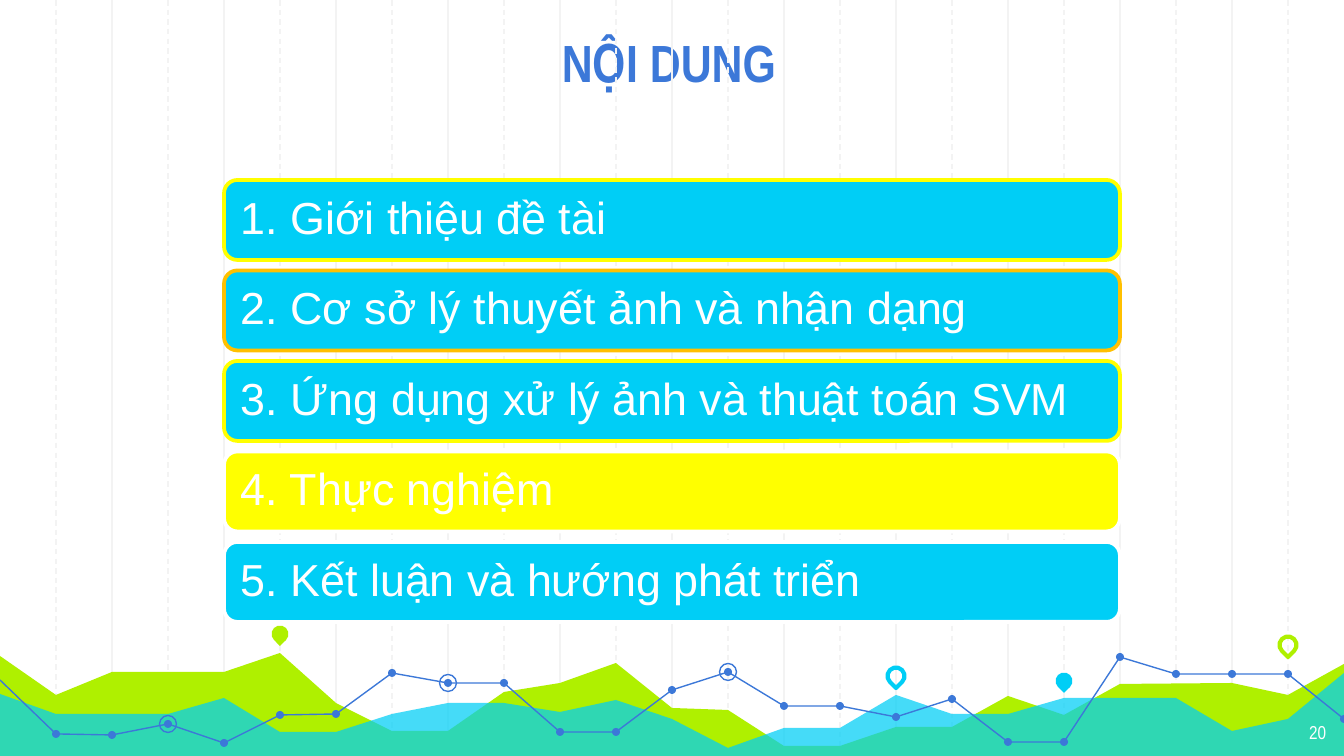
"""Build the agenda slide: five numbered bars above a chart-like landscape."""
from lxml.etree import SubElement
from pptx import Presentation
from pptx.dml.color import RGBColor
from pptx.enum.dml import MSO_LINE
from pptx.enum.shapes import MSO_CONNECTOR, MSO_SHAPE as SHAPE
from pptx.enum.text import MSO_ANCHOR as ANCHOR, PP_ALIGN as ALIGN
from pptx.oxml.ns import qn
from pptx.util import Pt

TITLE = "NỘI DUNG"
PAGE = "20"
ITEMS = [
    ("1. Giới thiệu đề tài", "cyan", "yellow"),
    ("2. Cơ sở lý thuyết ảnh và nhận dạng", "cyan", "amber"),
    ("3. Ứng dụng xử lý ảnh và thuật toán SVM", "cyan", "yellow"),
    ("4. Thực nghiệm", "yellow", "white"),
    ("5. Kết luận và hướng phát triển", "cyan", "white"),
]
GREEN_HILLS = [
    (0, 656), (1, 695), (2, 672), (4, 672), (5, 653), (6, 703), (7, 731),
    (8, 731), (9, 692), (10, 683), (11, 663), (12, 708), (13, 710), (14, 746),
    (15, 746), (16, 727), (17, 727), (18, 696), (19, 715), (20, 684),
    (22, 683), (23, 695), (24, 664),
]
CYAN_HILLS = [
    (0, 694), (1, 714), (3, 714), (4, 698), (5, 732), (6, 732), (7, 714),
    (8, 703), (9, 703), (10, 712), (11, 700), (12, 719), (13, 748), (14, 728),
    (15, 728), (16, 695), (17, 714), (18, 714), (19, 698), (21, 698),
    (22, 731), (23, 719), (24, 673),
]
TREND = [680, 734, 735, 724, 743, 715, 714, 673, 683, 683, 732, 732, 690,
         672, 706, 706, 717, 699, 742, 742, 657, 674, 674, 674, 719]
RINGED = [3, 8, 13]
PINS = [(5, 634, "lime", True), (16, 676, "cyan", False),
        (19, 681, "cyan", True), (23, 645, "lime", False)]

THEME = {
    "colors": {"cyan": "00CEF6", "yellow": "FFFF00", "amber": "FFC000",
               "white": "FFFFFF", "lime": "AFF000", "blue": "3C78D8",
               "grid": "F3F3F3"},
    "title": {"name": "Arial Narrow", "size": Pt(28), "bold": True},
    "page": {"name": "Arial Narrow", "size": Pt(10)},
    "item": {"name": "Arial", "size": Pt(24)},
}
PX = 914400 / 134.4
WIDTH, HEIGHT = 1344, 756
COL = WIDTH // 24
DOT, MARK = 8, 17
BAR_TOP, BAR_STEP, BAR_HEIGHT = 180, 90.5, 80


def px(*lengths):
    return [round(n * PX) for n in lengths]


def color(name):
    return RGBColor.from_string(THEME["colors"][name])


def style(sp, fill=None, line=None, width=0.75):
    sp.shadow.inherit = False
    if fill:
        sp.fill.solid()
        sp.fill.fore_color.rgb = color(fill)
    else:
        sp.fill.background()
    if line:
        sp.line.color.rgb = color(line)
        sp.line.width = Pt(width)
    else:
        sp.line.fill.background()
    return sp


def write(sp, text, role, ink, align, anchor, margin=13):
    tf = sp.text_frame
    frame = {"word_wrap": True, "vertical_anchor": anchor}
    for side in ("left", "right", "top", "bottom"):
        frame[f"margin_{side}"] = px(margin)[0]
    for key, value in frame.items():
        setattr(tf, key, value)
    p = tf.paragraphs[0]
    p.alignment = align
    r = p.add_run()
    r.text = text
    for key, value in THEME[role].items():
        setattr(r.font, key, value)
    r.font.color.rgb = color(ink)
    return p


def centered(s, kind, col, y, size):
    return s.shapes.add_shape(
        kind, *px(col * COL - size / 2, y - size / 2, size, size))


def polyline(s, points, close):
    start, *rest = [(col * COL, y) for col, y in points]
    builder = s.shapes.build_freeform(*start, scale=PX)
    builder.add_line_segments(rest, close=close)
    return builder.convert_to_shape()


def draw_grid(s):
    for col in [*range(2, 24, 2), *range(1, 24, 2)]:
        x = col * COL
        line = s.shapes.add_connector(MSO_CONNECTOR.STRAIGHT, *px(x, 0, x, HEIGHT))
        line.line.color.rgb = color("grid")
        line.line.width = Pt(0.75)
        if col % 2:
            line.line.dash_style = MSO_LINE.DASH
        SubElement(line._element.spPr, qn("a:effectLst"))


def draw_landscape(s):
    base = [(24, HEIGHT), (0, HEIGHT)]
    style(polyline(s, GREEN_HILLS + base, True), "lime")
    hills = style(polyline(s, CYAN_HILLS + base, True), "cyan")
    tint = hills._element.spPr.find(qn("a:solidFill"))[0]
    SubElement(tint, qn("a:alpha"), val="73000")

    style(polyline(s, list(enumerate(TREND)), False), line="blue")
    for col, y in list(enumerate(TREND))[1:]:
        style(centered(s, SHAPE.OVAL, col, y, DOT), "blue")
    for col in RINGED:
        style(centered(s, SHAPE.OVAL, col, TREND[col], MARK), line="blue")
    for col, y, tone, solid in PINS:
        pin = centered(s, SHAPE.TEAR, col, y, MARK)
        pin.rotation = 135
        if solid:
            style(pin, fill=tone)
        else:
            style(pin, line=tone, width=2.25)


def draw_text(s):
    title = s.shapes.title
    title.left, title.top, title.width, title.height = px(155, 19, 1028, 87)
    write(title, TITLE, "title", "blue", ALIGN.CENTER, ANCHOR.BOTTOM)

    page = s.shapes.add_textbox(*px(1258, 710, 81, 46))
    write(page, PAGE, "page", "white", ALIGN.RIGHT, ANCHOR.TOP)

    for i, (text, fill, border) in enumerate(ITEMS):
        bar = s.shapes.add_shape(
            SHAPE.ROUNDED_RECTANGLE,
            *px(4 * COL, BAR_TOP + i * BAR_STEP, 16 * COL, BAR_HEIGHT))
        style(bar, fill, border, 2)
        p = write(bar, text, "item", "white", ALIGN.LEFT, ANCHOR.MIDDLE)
        p.line_spacing = 0.9


def main():
    prs = Presentation()
    prs.slide_width, prs.slide_height = px(WIDTH, HEIGHT)
    s = prs.slides.add_slide(prs.slide_layouts[5])
    draw_grid(s)
    draw_landscape(s)
    draw_text(s)
    prs.save("out.pptx")


if __name__ == "__main__":
    main()
